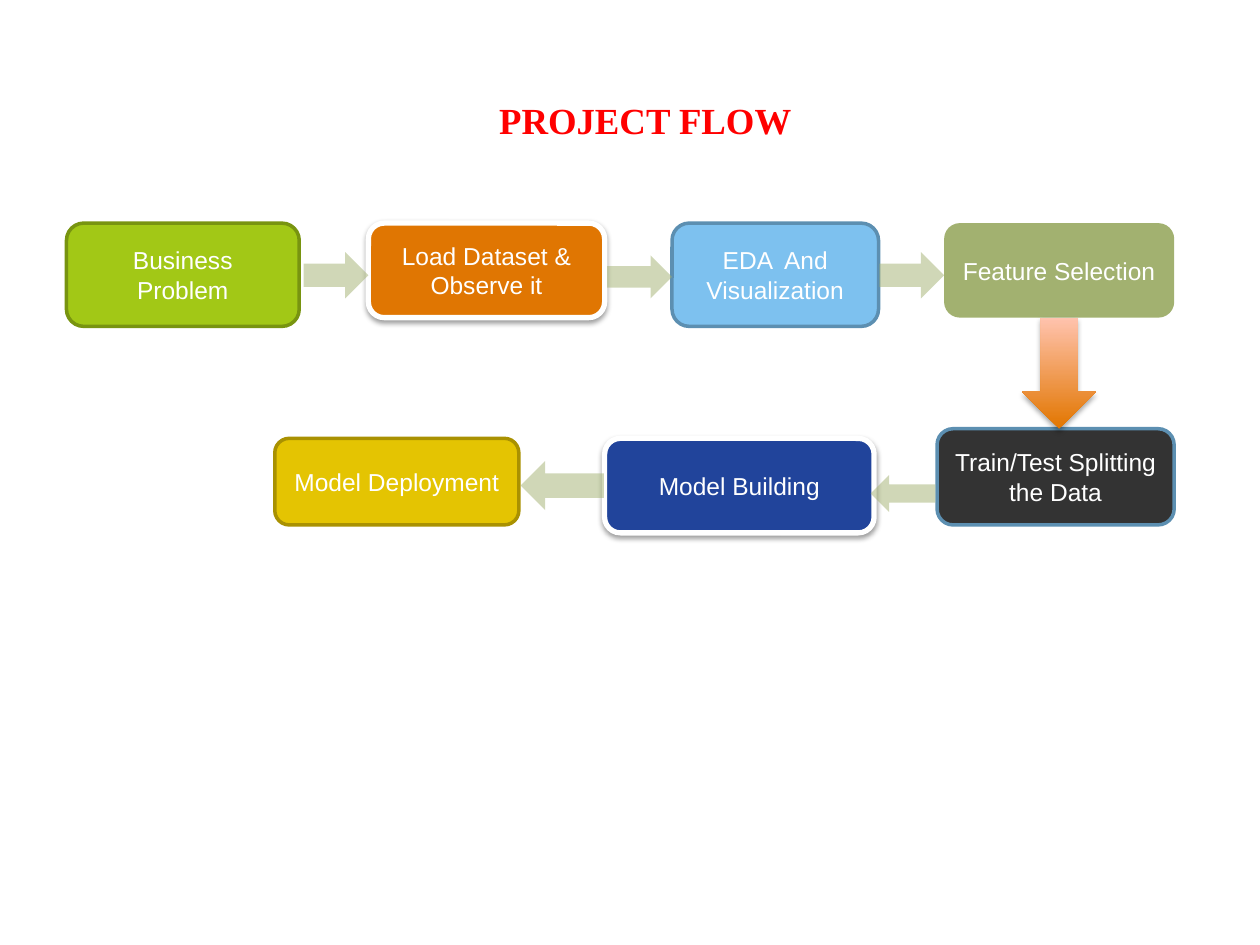
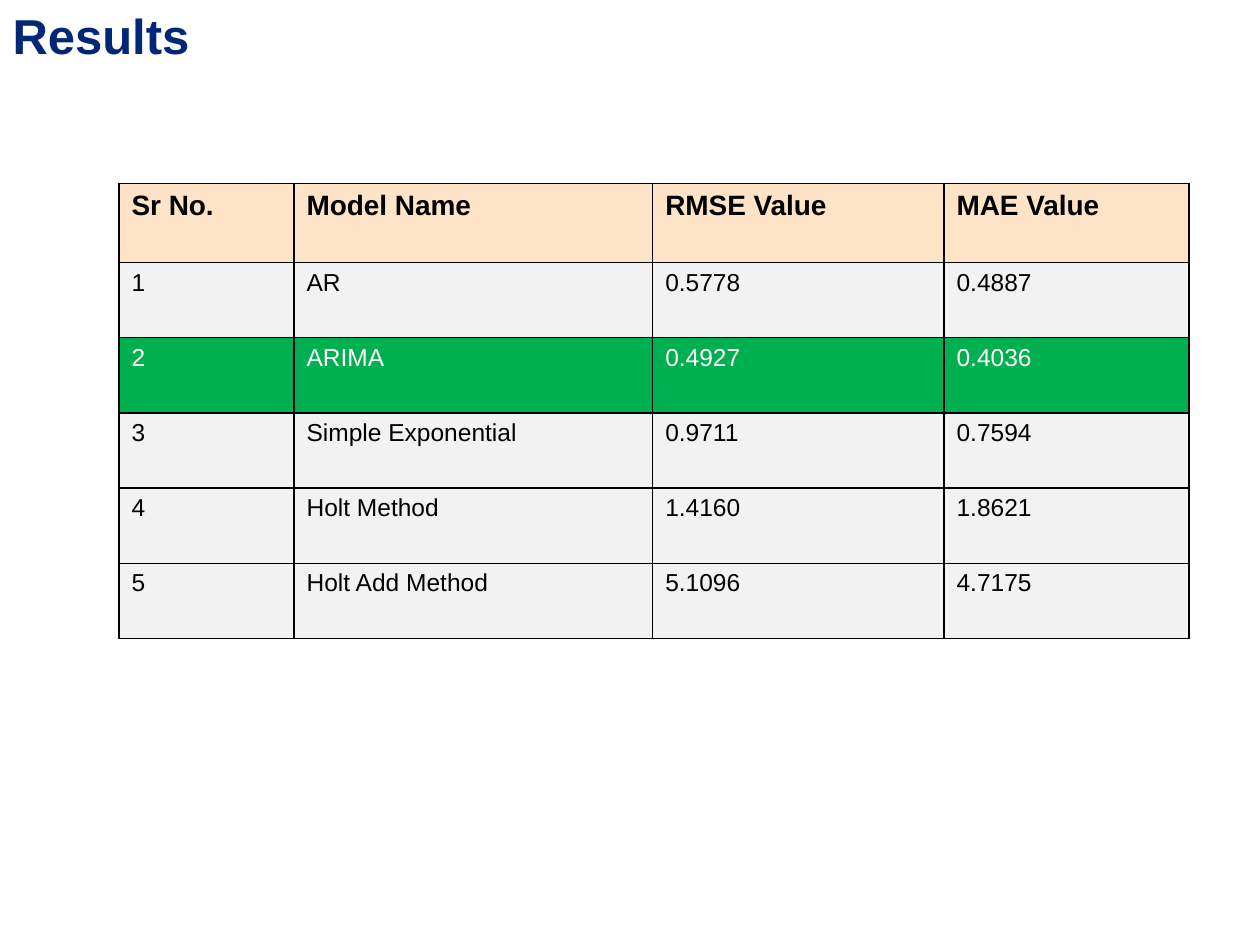
"""Build a project flow diagram slide and a model results table slide."""
from lxml.etree import SubElement
from pptx import Presentation
from pptx.dml.color import RGBColor
from pptx.enum.shapes import MSO_SHAPE
from pptx.enum.text import MSO_ANCHOR, MSO_AUTO_SIZE, PP_ALIGN
from pptx.oxml.ns import qn
from pptx.util import Pt

COLORS = {
    "white": "FFFFFF", "black": "000000", "red": "FF0000", "navy": "002776",
    "lime": "A2C816", "dark lime": "789410", "orange": "E07602",
    "sky": "7DC1EF", "steel": "5C8FB1", "sage": "A2B170",
    "gold": "E4C402", "dark gold": "A99101", "charcoal": "333333",
    "blue": "21449B", "amber": "E27600", "peach": "FFC3AE",
    "header": "FEE4C7", "row": "F2F2F2", "best": "00B050",
}
RGB = {name: RGBColor.from_string(value) for name, value in COLORS.items()}


def add_title(page, text, bounds, size, font, color):
    title = page.shapes.title
    title.left, title.top, title.width, title.height = map(Pt, bounds)
    frame = title.text_frame
    frame.text = text
    frame.auto_size = MSO_AUTO_SIZE.NONE
    frame.vertical_anchor = MSO_ANCHOR.TOP
    para = frame.paragraphs[0]
    para.alignment = PP_ALIGN.LEFT
    para.line_spacing = 1.0
    span = para.runs[0].font
    span.name, span.size, span.bold = font, Pt(size), True
    span.color.rgb = RGB[color]


def add_flow_shape(page, kind, bounds, line=None, width=0, shadow_alpha=0):
    shape = page.shapes.add_shape(kind, *map(Pt, bounds))
    shape.shadow.inherit = False
    if line:
        shape.line.color.rgb = RGB[line]
        shape.line.width = Pt(width)
    else:
        shape.line.fill.background()
    if shadow_alpha:
        effects = shape.element.spPr.find(qn("a:effectLst"))
        shadow = SubElement(effects, qn("a:outerShdw"), blurRad=str(Pt(3.1)),
                            dist=str(Pt(1.7)), dir="5400000", rotWithShape="0")
        tint = SubElement(shadow, qn("a:srgbClr"), val=COLORS["black"])
        SubElement(tint, qn("a:alpha"), val=str(shadow_alpha * 1000))
    return shape


deck = Presentation()
deck.slide_width, deck.slide_height = Pt(720), Pt(540)
title_only = deck.slide_layouts[5]

page = deck.slides.add_slide(title_only)
add_title(page, "PROJECT FLOW", (278, 52.5, 184, 32.5), 21, "Times New Roman", "red")

steps = [
    ("Business Problem", (38, 127.5, 133, 59), "lime", "dark lime", 2, 0),
    ("Load Dataset & Observe it", (210.5, 127.5, 135, 54), "orange", "white", 3, 38),
    ("EDA  And Visualization", (384, 127.5, 118, 59), "sky", "steel", 2, 0),
    ("Feature Selection", (539.5, 127.5, 131.5, 54), "sage", None, 0, 0),
    ("Model Deployment", (157, 250.5, 139.5, 49.5), "gold", "dark gold", 2, 0),
    ("Train/Test Splitting the Data", (535.5, 245, 135.5, 55), "charcoal", "steel", 2, 0),
    ("Model Building", (345.5, 250.5, 154, 54), "blue", "white", 3, 38),
]
for text, bounds, fill, line, width, shadow_alpha in steps:
    box = add_flow_shape(page, MSO_SHAPE.ROUNDED_RECTANGLE, bounds, line, width, shadow_alpha)
    box.fill.solid()
    box.fill.fore_color.rgb = RGB[fill]
    box.text_frame.text = text
    box.text_frame.word_wrap = True
    box.text_frame.vertical_anchor = MSO_ANCHOR.MIDDLE
    para = box.text_frame.paragraphs[0]
    para.alignment = PP_ALIGN.CENTER
    span = para.runs[0].font
    span.name, span.size = "Arial", Pt(14)
    span.color.rgb = RGB["white"]

down_arrow = add_flow_shape(page, MSO_SHAPE.DOWN_ARROW, (584, 181.5, 42.5, 63.5), shadow_alpha=35)
down_arrow.fill.gradient()
down_arrow.fill.gradient_angle = 90
for stop, color in zip(down_arrow.fill.gradient_stops, ("amber", "peach")):
    stop.color.rgb = RGB[color]

side_arrows = [
    ((173.5, 144, 37, 26.5), 0),
    ((347, 146, 37, 24.5), 0),
    ((502.5, 144, 37, 26.5), 0),
    ((497.5, 271.5, 37, 21), 180),
    ((297.5, 263.5, 47.5, 28), 180),
]
for bounds, rotation in side_arrows:
    arrow = add_flow_shape(page, MSO_SHAPE.RIGHT_ARROW, bounds)
    arrow.rotation = rotation
    arrow.fill.solid()
    arrow.fill.fore_color.rgb = RGB["sage"]
    tint = arrow.element.spPr.find(qn("a:solidFill")).find(qn("a:srgbClr"))
    SubElement(tint, qn("a:alpha"), val="50000")

page = deck.slides.add_slide(title_only)
add_title(page, "Results", (0, -0.5, 360, 41), 28, "Arial", "navy")

results = [
    ("Sr No.", "Model Name", "RMSE Value", "MAE Value"),
    ("1", "AR", "0.5778", "0.4887"),
    ("2", "ARIMA", "0.4927", "0.4036"),
    ("3", "Simple Exponential", "0.9711", "0.7594"),
    ("4", "Holt Method", "1.4160", "1.8621"),
    ("5", "Holt Add Method", "5.1096", "4.7175"),
]
column_widths = (100, 205, 166.5, 140)
row_heights = [45] + [43] * 5
row_styles = {0: ("header", "black", 16), 2: ("best", "white", 14)}
table = page.shapes.add_table(len(results), len(column_widths), Pt(68), Pt(105),
                              Pt(sum(column_widths)), Pt(sum(row_heights))).table
for column, width in zip(table.columns, column_widths):
    column.width = Pt(width)
for index, values in enumerate(results):
    table.rows[index].height = Pt(row_heights[index])
    fill, color, size = row_styles.get(index, ("row", "black", 14))
    for cell, value in zip(table.rows[index].cells, values):
        cell.text = value
        span = cell.text_frame.paragraphs[0].runs[0].font
        span.name, span.size, span.bold = "Arial", Pt(size), index == 0
        span.color.rgb = RGB[color]
        properties = cell._tc.get_or_add_tcPr()
        for side in ("lnL", "lnR", "lnT", "lnB"):
            border = SubElement(properties, qn(f"a:{side}"), w=str(Pt(1)))
            paint = SubElement(border, qn("a:solidFill"))
            SubElement(paint, qn("a:srgbClr"), val=COLORS["black"])
        cell.fill.solid()
        cell.fill.fore_color.rgb = RGB[fill]

deck.save("out.pptx")
